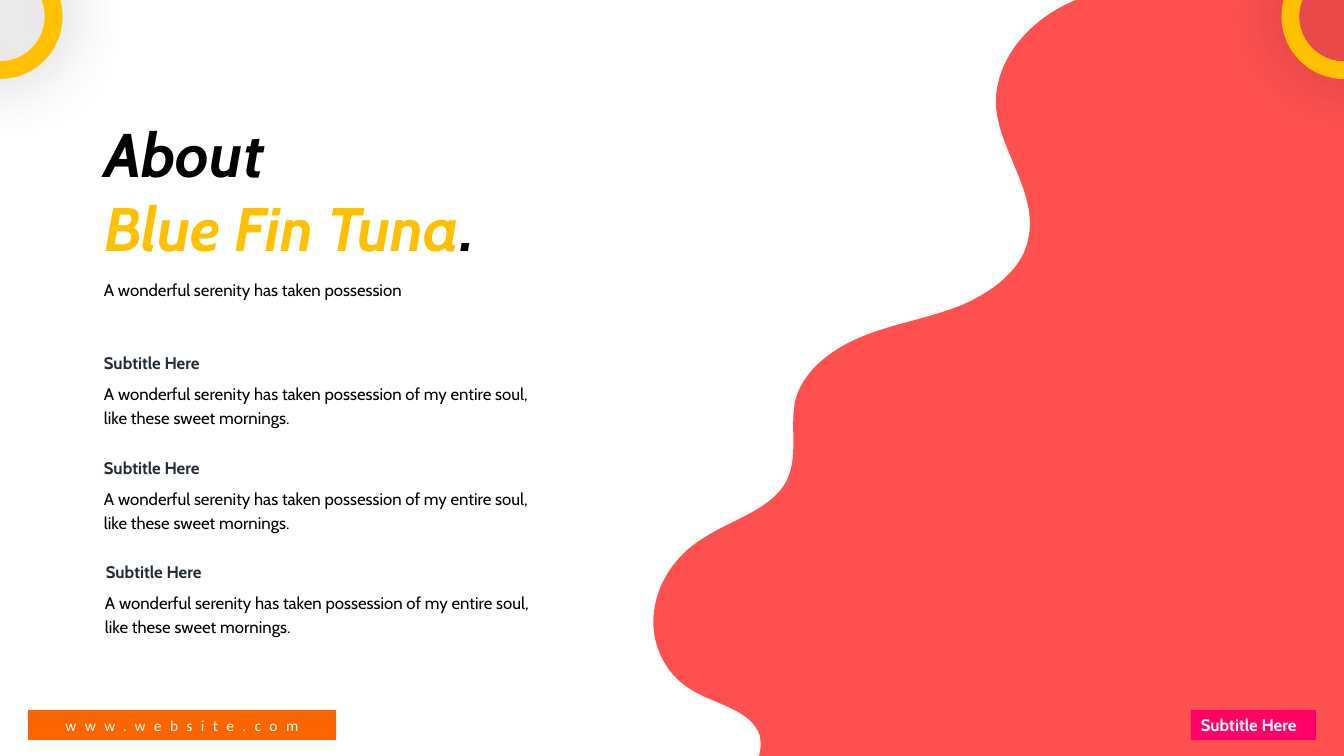
from lxml import etree
from pptx import Presentation
from pptx.dml.color import RGBColor
from pptx.enum.shapes import MSO_SHAPE
from pptx.enum.text import MSO_ANCHOR, MSO_AUTO_SIZE, PP_ALIGN
from pptx.oxml.ns import qn
from pptx.util import Pt

TOP, MIDDLE = MSO_ANCHOR.TOP, MSO_ANCHOR.MIDDLE
FIT, FIXED = MSO_AUTO_SIZE.SHAPE_TO_FIT_TEXT, MSO_AUTO_SIZE.NONE
LEFT, CENTER = PP_ALIGN.LEFT, PP_ALIGN.CENTER
RECTANGLE, ROUNDED, DONUT = MSO_SHAPE.RECTANGLE, MSO_SHAPE.ROUNDED_RECTANGLE, MSO_SHAPE.DONUT

BLACK = RGBColor(0x00, 0x00, 0x00)
WHITE = RGBColor(0xFF, 0xFF, 0xFF)
NAVY = RGBColor(0x22, 0x2A, 0x35)
CORAL = RGBColor(0xFF, 0x50, 0x50)
AMBER = RGBColor(0xFF, 0xC0, 0x00)
ORANGE = RGBColor(0xFA, 0x65, 0x00)
PINK = RGBColor(0xFF, 0x00, 0x66)

TITLE_LINES = [[("About", BLACK)], [("Blue Fin Tuna", AMBER), (".", BLACK)]]
INTRO = "A wonderful serenity has taken possession"
DETAIL = "A wonderful serenity has taken possession of my entire soul, like these sweet mornings."
SECTIONS = [
    ("Subtitle Here", 94, DETAIL, 94),
    ("Subtitle Here", 94, DETAIL, 94),
    ("Subtitle Here", 96, DETAIL, 95),
]
BADGE = "Subtitle Here"
WEBSITE = "www.website.com"

WIDTH, HEIGHT = 1344, 756
SECTION_TOP, SECTIONS_SPAN = 342, 209
RING_SIZE, RING_TOP = 125, -46
WAVE_START = (1146, -12)
WAVE_SEGMENTS = [
    [(1170, -12), (1195, -9), (1219, -3)],
    [(1234, 0)],
    [(WIDTH, 0)],
    [(WIDTH, HEIGHT)],
    [(759, HEIGHT)],
    [(761, 750), (761, 743), (760, 736)],
    [(751, 709), (715, 705), (690, 689)],
    [(664, 673), (650, 642), (654, 612)],
    [(657, 583), (676, 555), (702, 539)],
    [(732, 519), (772, 510), (787, 480)],
    [(799, 455), (789, 424), (796, 398)],
    [(805, 368), (835, 347), (866, 335)],
    [(897, 323), (930, 318), (962, 305)],
    [(992, 292), (1022, 270), (1028, 240)],
    [(1039, 194), (999, 151), (996, 106)],
    [(994, 59), (1031, 18), (1076, 0)],
    [(1098, -8), (1122, -12), WAVE_START],
]
EMU_PER_PX = 914400 / 100.8


def px(*lengths):
    """Turn pixel lengths into EMU."""
    return [round(length * EMU_PER_PX) for length in lengths]


def paint(shape, color):
    """Give a shape a flat fill without line or shadow."""
    shape.fill.solid()
    shape.fill.fore_color.rgb = color
    shape.line.fill.background()
    shape.shadow.inherit = False


def write(paragraph, text, color, size=12, font="Cabin", bold=False, italic=False):
    """Add one formatted run."""
    run = paragraph.add_run()
    run.text = text
    run.font.name, run.font.size = font, Pt(size)
    run.font.bold, run.font.italic = bold, italic
    run.font.color.rgb = color
    return run


def add_text(slide, box, text, color, spacing, bold=False):
    """Add a wrapped text box."""
    frame = slide.shapes.add_textbox(*px(*box)).text_frame
    frame.word_wrap, frame.auto_size = True, FIT
    frame.paragraphs[0].line_spacing = spacing
    write(frame.paragraphs[0], text, color, bold=bold)


def add_title(slide):
    """Fill the title placeholder."""
    title = slide.shapes.title
    title.left, title.top, title.width, title.height = px(94, 111, 526, 159)
    frame = title.text_frame
    frame.word_wrap, frame.auto_size, frame.vertical_anchor = True, FIT, TOP
    for index, line in enumerate(TITLE_LINES):
        paragraph = frame.add_paragraph() if index else frame.paragraphs[0]
        paragraph.alignment = LEFT
        for text, color in line:
            write(paragraph, text, color, 44, bold=True, italic=True)


def add_wave(slide):
    """Draw the wavy panel, bending each three-point segment into a curve."""
    builder = slide.shapes.build_freeform(*px(*WAVE_START), scale=1.0)
    builder.add_line_segments([px(*segment[-1]) for segment in WAVE_SEGMENTS], close=True)
    wave = builder.convert_to_shape()
    paint(wave, CORAL)
    sides = list(wave._element.iter(qn("a:lnTo")))
    for side, segment in zip(sides, WAVE_SEGMENTS):
        if len(segment) == 3:
            curve = etree.Element(qn("a:cubicBezTo"))
            for point in segment:
                x, y = px(*point)
                etree.SubElement(curve, qn("a:pt"), x=str(x - wave.left), y=str(y - wave.top))
            side.getparent().replace(side, curve)


def add_footer(slide):
    """Add the badge and the website bar."""
    badge = slide.shapes.add_shape(RECTANGLE, *px(1191, 710, 125, 30))
    paint(badge, PINK)
    frame = badge.text_frame
    frame.word_wrap, frame.auto_size, frame.vertical_anchor = False, FIT, TOP
    frame.paragraphs[0].alignment = LEFT
    write(frame.paragraphs[0], BADGE, WHITE, bold=True)

    website = slide.shapes.add_shape(ROUNDED, *px(28, 710, 308, 30))
    website.adjustments[0] = 0
    paint(website, ORANGE)
    frame = website.text_frame
    frame.word_wrap, frame.auto_size, frame.vertical_anchor = True, FIXED, MIDDLE
    frame.paragraphs[0].alignment = CENTER
    run = write(frame.paragraphs[0], WEBSITE, WHITE, 11, "Calibri")
    run.font._element.set("spc", "600")


def add_ring(slide, center):
    """Add a ring with a soft shadow at the top edge."""
    ring = slide.shapes.add_shape(DONUT, *px(center - RING_SIZE / 2, RING_TOP, RING_SIZE, RING_SIZE))
    ring.adjustments[0] = 0.142
    paint(ring, AMBER)
    effects = ring._element.spPr.find(qn("a:effectLst"))
    shadow = etree.SubElement(effects, qn("a:outerShdw"), blurRad=str(Pt(49)), dist="0", dir="0",
                              algn="ctr", rotWithShape="0")
    tint = etree.SubElement(shadow, qn("a:srgbClr"), val=str(BLACK))
    etree.SubElement(tint, qn("a:alpha"), val="33000")


def main():
    """Build the slide."""
    deck = Presentation()
    deck.slide_width, deck.slide_height = px(WIDTH, HEIGHT)
    slide = deck.slides.add_slide(deck.slide_layouts[5])
    add_wave(slide)
    add_title(slide)
    add_text(slide, (94, 265, 446, 37), INTRO, BLACK, 1.5)
    for index, (subtitle, subtitle_left, detail, detail_left) in enumerate(SECTIONS):
        top = SECTION_TOP + SECTIONS_SPAN * index / (len(SECTIONS) - 1)
        add_text(slide, (detail_left, top + 33, 445, 56), detail, BLACK, 1.2)
        add_text(slide, (subtitle_left, top, 127, 34), subtitle, NAVY, 1.3, bold=True)
    add_footer(slide)
    for center in (0, WIDTH):
        add_ring(slide, center)
    deck.save("out.pptx")


if __name__ == "__main__":
    main()
